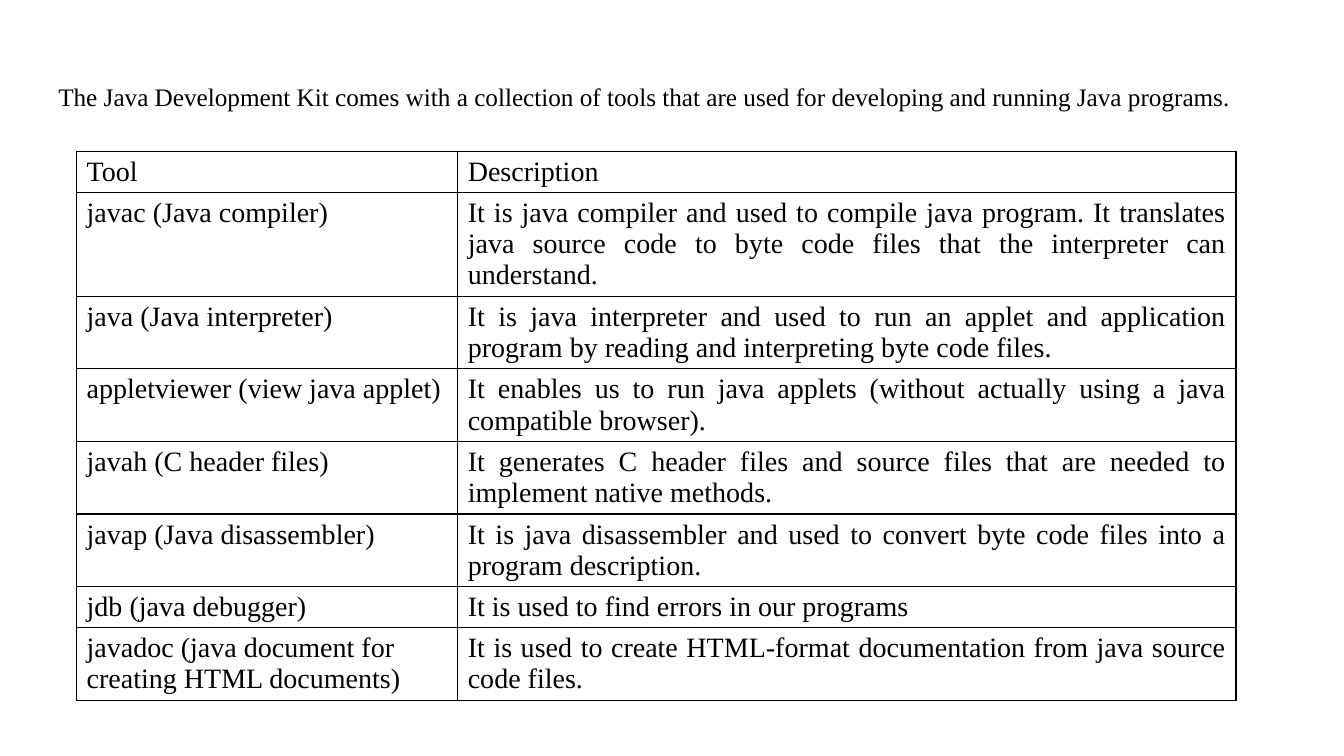
"""Build the slide listing the Java Development Kit tools."""
from dataclasses import dataclass

import pptx
import pptx.dml.color
import pptx.enum.text
import pptx.oxml
import pptx.oxml.ns
import pptx.util
from pptx.util import Inches


@dataclass(frozen=True)
class Theme:
    """Hold the colours, font and sizes of the slide."""
    font: str = "Times New Roman"
    ink: str = "000000"
    intro_size: int = 18
    table_size: int = 20
    border_width: int = 1


THEME = Theme()
LEFT = pptx.enum.text.PP_ALIGN.LEFT
JUSTIFY = pptx.enum.text.PP_ALIGN.JUSTIFY
COLUMN_WIDTHS = (3.78, 7.72)
LINE_HEIGHT = 0.31
CELL_PADDING = 0.1

INTRO = (
    "The Java Development Kit comes with a collection of tools "
    "that are used for developing and running Java programs."
)
HEADINGS = ("Tool", "Description", 1)
TOOLS = [
    ("javac (Java compiler)",
     "It is java compiler and used to compile java program. It translates java "
     "source code to byte code files that the interpreter can understand.", 3),
    ("java (Java interpreter)",
     "It is java interpreter and used to run an applet and application program "
     "by reading and interpreting byte code files.", 2),
    ("appletviewer (view java applet)",
     "It enables us to run java applets (without actually using a java "
     "compatible browser).", 2),
    ("javah (C header files)",
     "It generates C header files and source files that are needed to "
     "implement native methods.", 2),
    ("javap (Java disassembler)",
     "It is java disassembler and used to convert byte code files into a "
     "program description.", 2),
    ("jdb (java debugger)", "It is used to find errors in our programs", 1),
    ("javadoc (java document for creating HTML documents)",
     "It is used to create HTML-format documentation from java source code "
     "files.", 2),
]


def write_text(frame, text, *, size, align=LEFT):
    """Write one formatted paragraph into a text frame."""
    frame.word_wrap = True
    paragraph = frame.paragraphs[0]
    paragraph.alignment = align
    run = paragraph.add_run()
    run.text = text
    run.font.name = THEME.font
    run.font.size = pptx.util.Pt(size)
    run.font.bold = False
    run.font.color.rgb = pptx.dml.color.RGBColor.from_string(THEME.ink)


def add_borders(cell):
    """Draw a thin solid line on every side of a cell."""
    properties = cell._tc.get_or_add_tcPr()
    width = pptx.util.Pt(THEME.border_width)
    for position, side in enumerate(("lnL", "lnR", "lnT", "lnB")):
        border = pptx.oxml.parse_xml(
            f'<a:{side} {pptx.oxml.ns.nsdecls("a")} w="{width}"><a:solidFill>'
            f'<a:srgbClr val="{THEME.ink}"/></a:solidFill></a:{side}>'
        )
        properties.insert(position, border)


def add_intro(slide):
    """Place the introductory sentence above the table."""
    intro = slide.shapes.add_textbox(
        Inches(0.48), Inches(0.76), Inches(12.04), Inches(0.4))
    write_text(intro.text_frame, INTRO, size=THEME.intro_size)


def add_tools_table(slide):
    """Place the bordered table of tools and descriptions."""
    entries = [HEADINGS, *TOOLS]
    heights = [CELL_PADDING + LINE_HEIGHT * lines for _, _, lines in entries]
    tools = slide.shapes.add_table(
        len(entries), len(COLUMN_WIDTHS), Inches(0.76), Inches(1.5),
        Inches(sum(COLUMN_WIDTHS)), Inches(sum(heights))).table
    tools.first_row = False
    tools.horz_banding = False
    for column, width in zip(tools.columns, COLUMN_WIDTHS):
        column.width = Inches(width)
    for index, (tool, description, _) in enumerate(entries):
        tools.rows[index].height = Inches(heights[index])
        description_align = JUSTIFY if index else LEFT
        for cell, text, align in zip(
                tools.rows[index].cells, (tool, description),
                (LEFT, description_align)):
            cell.fill.background()
            add_borders(cell)
            write_text(cell.text_frame, text, size=THEME.table_size, align=align)


def main():
    """Create and save the presentation."""
    deck = pptx.Presentation()
    deck.slide_width = Inches(13.33)
    deck.slide_height = Inches(7.5)
    slide = deck.slides.add_slide(deck.slide_layouts[6])
    add_tools_table(slide)
    add_intro(slide)
    deck.save("out.pptx")


if __name__ == "__main__":
    main()
